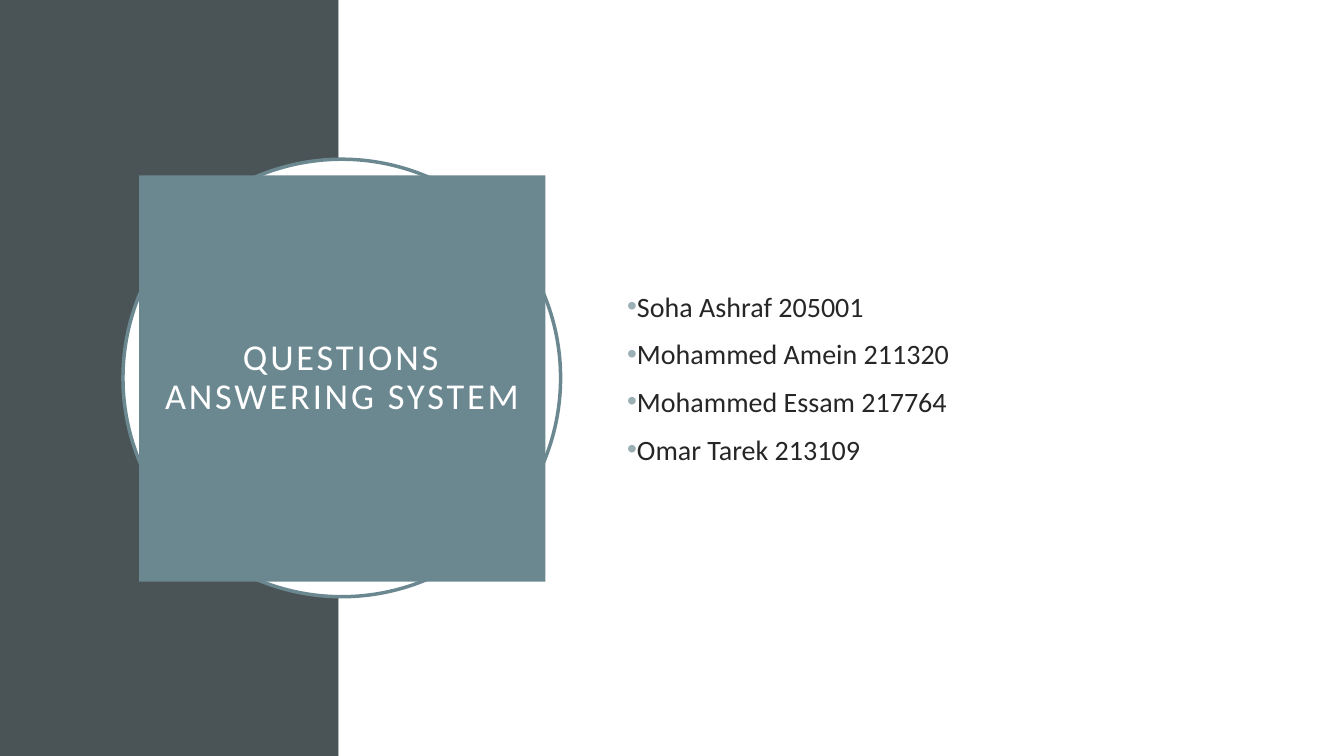
from lxml.etree import SubElement
from pptx import Presentation
from pptx.dml.color import RGBColor
from pptx.enum.shapes import MSO_SHAPE
from pptx.enum.text import MSO_ANCHOR, MSO_AUTO_SIZE, PP_ALIGN
from pptx.oxml.ns import qn
from pptx.util import Inches, Pt

SLATE = RGBColor(0x4A, 0x53, 0x56)
TEAL = RGBColor(0x6B, 0x88, 0x91)
BULLET = RGBColor(0x9B, 0xAF, 0xB5)
DARK = RGBColor(0x26, 0x26, 0x26)
WHITE = RGBColor(0xFF, 0xFF, 0xFF)
FONT = "Calibri"
MEMBERS = [
    "Soha Ashraf 205001",
    "Mohammed Amein 211320",
    "Mohammed Essam 217764",
    "Omar Tarek 213109",
]


def add_backdrop(s, kind, left, top, width, height, fill, line=None):
    """Add a plain shape behind the title."""
    sp = s.shapes.add_shape(kind, Inches(left), Inches(top), Inches(width), Inches(height))
    sp.shadow.inherit = False
    sp.fill.solid()
    sp.fill.fore_color.rgb = fill
    if line is None:
        sp.line.fill.background()
    else:
        sp.line.color.rgb = line
        sp.line.width = Pt(2.5)
    s.shapes.title.element.addprevious(sp.element)


def place(sp, left, top, width, height):
    """Move a placeholder and centre its text vertically."""
    sp.left, sp.top = Inches(left), Inches(top)
    sp.width, sp.height = Inches(width), Inches(height)
    tf = sp.text_frame
    tf.word_wrap = True
    tf.auto_size = MSO_AUTO_SIZE.NONE
    tf.vertical_anchor = MSO_ANCHOR.MIDDLE
    return tf


def style_run(r, size, color):
    r.font.name = FONT
    r.font.size = Pt(size)
    r.font.color.rgb = color


def add_bullet(p):
    pPr = p._p.get_or_add_pPr()
    pPr.set("marL", "0")
    pPr.set("indent", str(Inches(-0.25)))
    color = SubElement(pPr, qn("a:buClr"))
    SubElement(color, qn("a:srgbClr"), val=str(BULLET))
    SubElement(pPr, qn("a:buFont"), typeface="Arial")
    SubElement(pPr, qn("a:buChar"), char="•")


def fill_title(sp):
    tf = place(sp, 1.38, 1.74, 4.03, 4.03)
    sp.fill.solid()
    sp.fill.fore_color.rgb = TEAL
    tf.margin_left = tf.margin_right = tf.margin_top = tf.margin_bottom = Inches(0.2)
    tf.text = "QUESTIONS ANSWERING SYSTEM"
    p = tf.paragraphs[0]
    p.alignment = PP_ALIGN.CENTER
    p.line_spacing = 0.9
    r = p.runs[0]
    style_run(r, 26, WHITE)
    r.font._element.set("spc", "200")


def fill_members(sp):
    tf = place(sp, 6.12, 1.53, 5.82, 4.43)
    tf.text = "\n".join(MEMBERS)
    for p in tf.paragraphs:
        p.alignment = PP_ALIGN.LEFT
        p.space_before = Pt(10)
        add_bullet(p)
        style_run(p.runs[0], 20, DARK)


def main():
    prs = Presentation()
    prs.slide_width, prs.slide_height = Inches(13.33), Inches(7.5)
    s = prs.slides.add_slide(prs.slide_layouts[0])

    # Side panel, white area and ring
    add_backdrop(s, MSO_SHAPE.RECTANGLE, 0, 0, 3.36, 7.5, SLATE)
    add_backdrop(s, MSO_SHAPE.RECTANGLE, 3.36, 0, 9.97, 7.5, WHITE)
    add_backdrop(s, MSO_SHAPE.OVAL, 1.22, 1.58, 4.34, 4.34, WHITE, TEAL)

    # Title and team list
    fill_title(s.shapes.title)
    fill_members(s.placeholders[1])
    prs.save("out.pptx")


if __name__ == "__main__":
    main()
